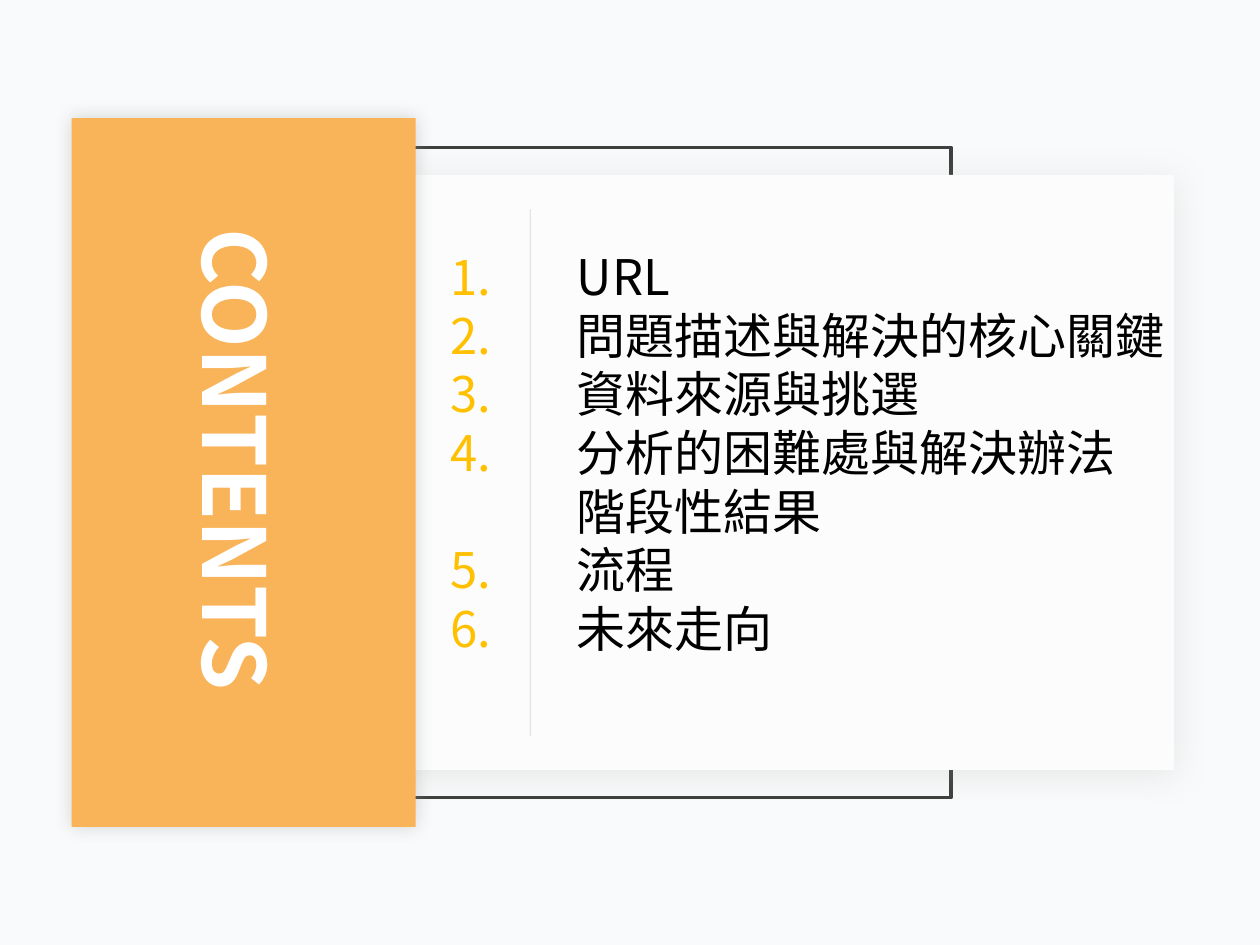
from lxml import etree
from pptx import Presentation
from pptx import util as u
from pptx.dml import color
from pptx.enum import shapes, text
from pptx.oxml import ns

Pt = u.Pt
FONT = "Noto Sans CJK SC"
COLORS = {
    "background": "F9FAFB",
    "frame": "3F403E",
    "card": "FCFCFD",
    "band": "F9B359",
    "gray": "969F98",
    "number": "FFC000",
    "text": "000000",
    "white": "FFFFFF",
}
ITEMS = [
    ("1.", "URL"),
    ("2.", "問題描述與解決的核心關鍵"),
    ("3.", "資料來源與挑選"),
    ("4.", "分析的困難處與解決辦法"),
    ("", "階段性結果"),
    ("5.", "流程"),
    ("6.", "未來走向"),
]


def rgb(name):
    return color.RGBColor.from_string(COLORS[name])


def sub(parent, tag, **attrs):
    return etree.SubElement(parent, ns.qn(tag), {k: str(v) for k, v in attrs.items()})


def add_shadow(sp, alpha, blur, dist=0, angle=0):
    effects = sp.element.spPr.find(ns.qn("a:effectLst"))
    shadow = sub(effects, "a:outerShdw", blurRad=Pt(blur), dist=Pt(dist),
                 dir=angle * 60000, algn="ctr", rotWithShape=0)
    clr = sub(shadow, "a:srgbClr", val=COLORS["gray"])
    sub(clr, "a:alpha", val=alpha * 1000)


def add_box(s, left, top, width, height, fill=None, line=None):
    sp = s.shapes.add_shape(shapes.MSO_SHAPE.RECTANGLE,
                            Pt(left), Pt(top), Pt(width), Pt(height))
    sp.shadow.inherit = False
    if fill:
        sp.fill.solid()
        sp.fill.fore_color.rgb = rgb(fill)
    else:
        sp.fill.background()
    if line:
        sp.line.color.rgb = rgb(line)
        sp.line.width = Pt(2)
    else:
        sp.line.fill.background()
    return sp


def add_divider(s, x, top, bottom):
    line = s.shapes.add_connector(shapes.MSO_CONNECTOR.STRAIGHT,
                                  Pt(x), Pt(top), Pt(x), Pt(bottom))
    line.line.color.rgb = rgb("gray")
    line.line.width = Pt(0.5)
    spPr = line.element.spPr
    sub(spPr.find(".//" + ns.qn("a:srgbClr")), "a:alpha", val=40000)
    sub(spPr, "a:effectLst")


def add_run(p, content, size, fill, bold=False):
    r = p.add_run()
    r.text = content
    r.font.size = Pt(size)
    r.font.bold = bold
    r.font.color.rgb = rgb(fill)
    r.font.name = FONT
    sub(r.font._element, "a:ea", typeface=FONT)


def add_contents_list(s):
    sp = s.shapes.add_textbox(Pt(250.5), Pt(106), Pt(438.5), Pt(273.5))
    tf = sp.text_frame
    tf.word_wrap = True
    tf.margin_top = Pt(35)
    for i, (number, item) in enumerate(ITEMS):
        p = tf.add_paragraph() if i else tf.paragraphs[0]
        p.line_spacing = Pt(33.55)
        tabs = sub(p._p.get_or_add_pPr(), "a:tabLst")
        sub(tabs, "a:tab", pos=Pt(72), algn="l")
        add_run(p, number + "\t", 28, "number")
        add_run(p, item, 28, "text")


def place_title(s):
    title = s.shapes.title
    title.left, title.top = Pt(-8), Pt(237)
    title.width, title.height = Pt(294.5), Pt(67)
    title.rotation = 90
    tf = title.text_frame
    tf.auto_size = text.MSO_AUTO_SIZE.NONE
    tf.word_wrap = False
    tf.vertical_anchor = text.MSO_ANCHOR.TOP
    tf.margin_top, tf.margin_bottom = Pt(3), 0
    p = tf.paragraphs[0]
    p.alignment = text.PP_ALIGN.LEFT
    p.line_spacing = Pt(64)
    add_run(p, "CONTENTS", 49.5, "white", bold=True)
    # Bring the title in front of the band
    s.shapes.element.append(title.element)


def main():
    prs = Presentation()
    prs.slide_width, prs.slide_height = Pt(720), Pt(540)
    s = prs.slides.add_slide(prs.slide_layouts[5])
    s.background.fill.solid()
    s.background.fill.fore_color.rgb = rgb("background")

    # Frame and card
    add_box(s, 137.5, 84.25, 406, 371.5, line="frame")
    card = add_box(s, 119, 100, 552, 340, fill="card")
    add_shadow(card, 20, 20, 3, 90)

    # Numbered contents
    add_contents_list(s)
    add_divider(s, 303, 119.5, 420.5)

    # Title band
    band = add_box(s, 41, 67.5, 196.5, 405, fill="band")
    add_shadow(band, 40, 10)
    place_title(s)

    prs.save("out.pptx")


if __name__ == "__main__":
    main()
